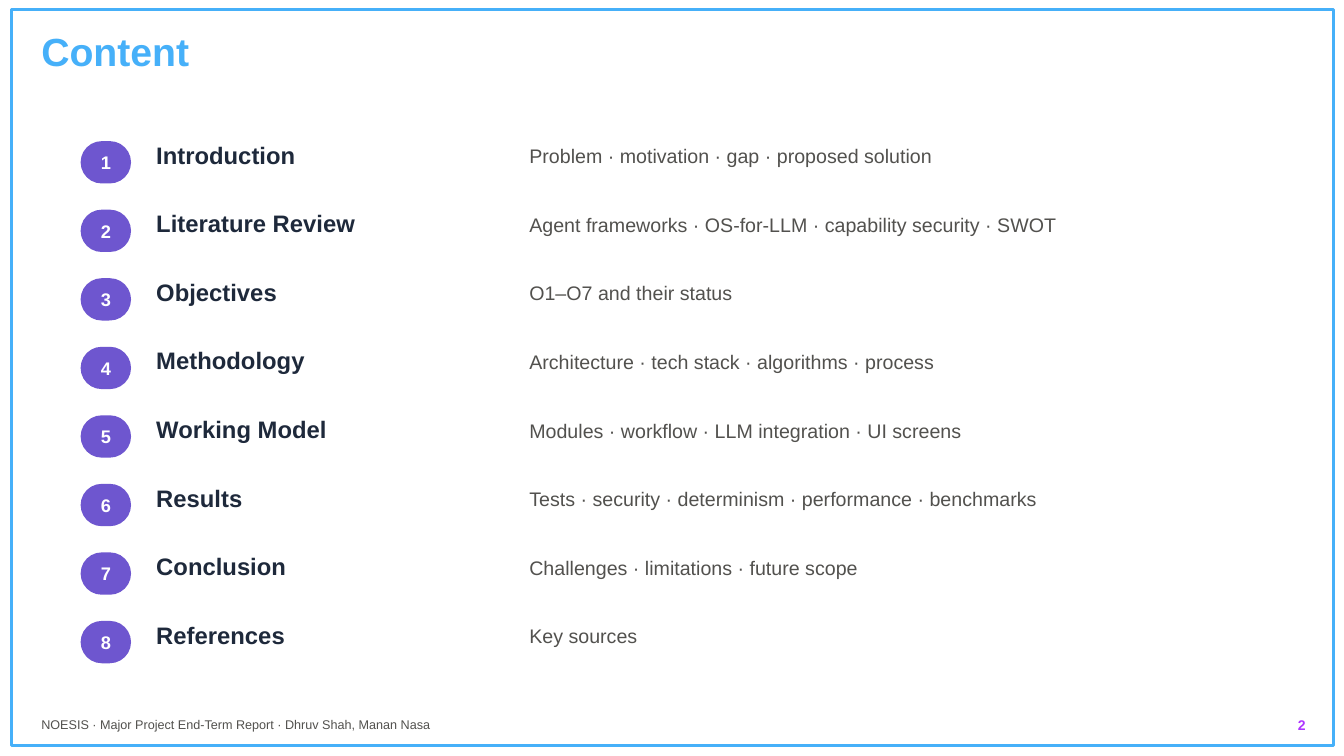
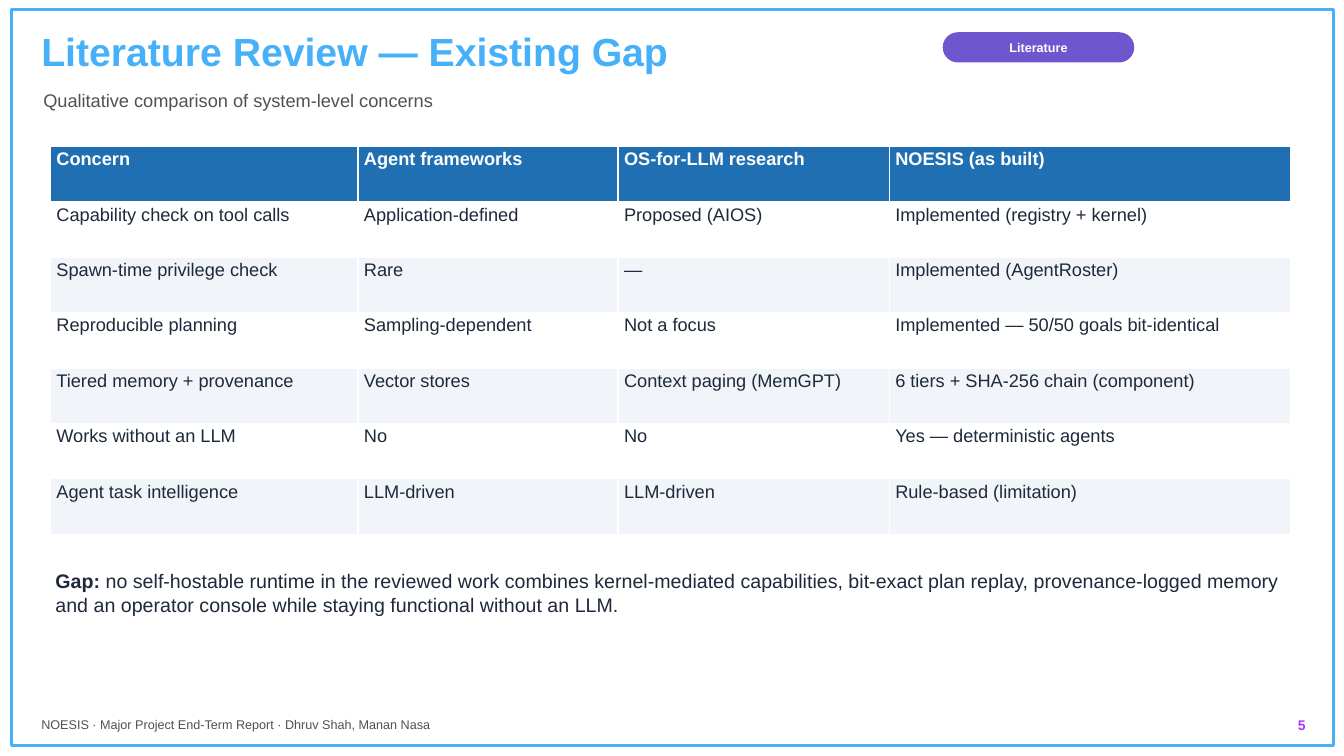
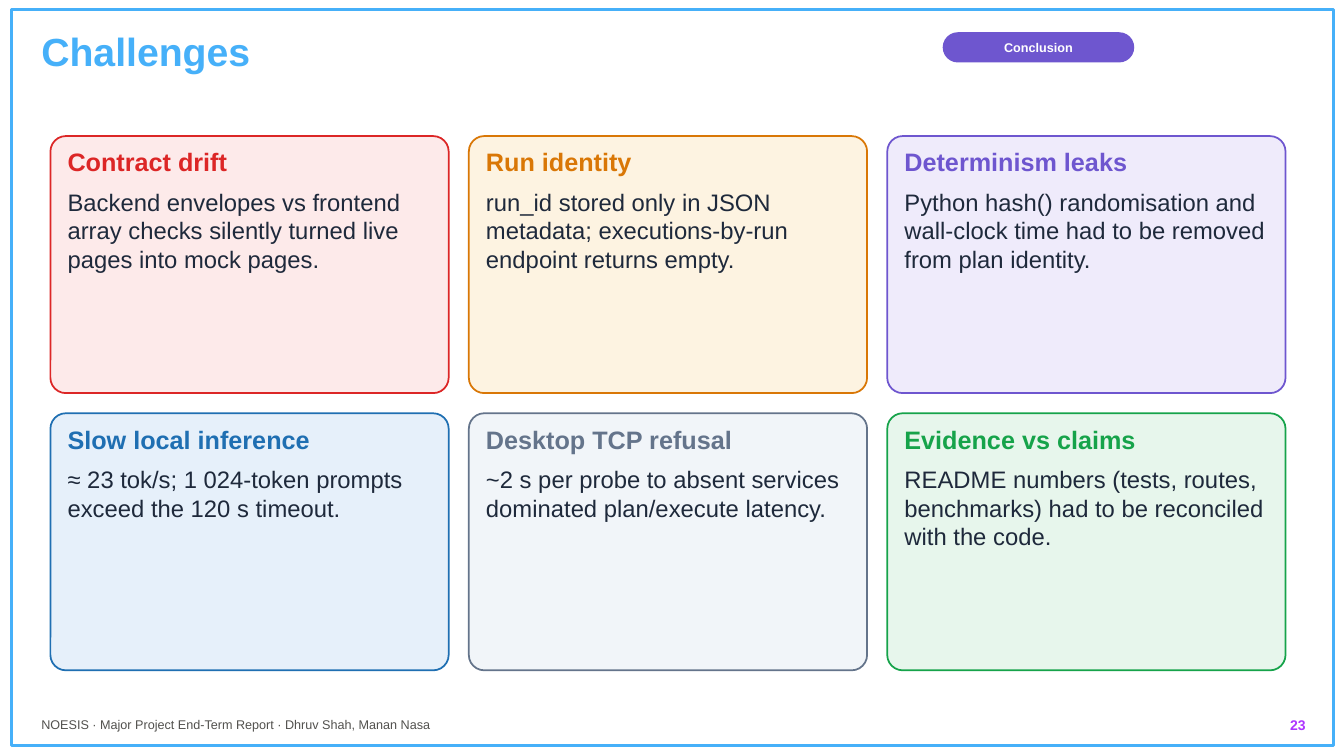
from pptx import Presentation
from pptx.dml.color import RGBColor
from pptx.enum.shapes import MSO_SHAPE as Shape
from pptx.enum.text import MSO_ANCHOR as Anchor, MSO_AUTO_SIZE as AutoSize, PP_ALIGN as Align
from pptx.util import Inches, Pt

# Shared look
FONT = "Arial"
SKY, VIOLET, PURPLE, BLUE = "46B0F9", "6E56CF", "AE36FF", "1F6FB2"
INK, GREY, WHITE, MIST = "1E293B", "52514E", "FFFFFF", "F1F5F9"
FOOTER = "NOESIS · Major Project End-Term Report · Dhruv Shah, Manan Nasa"

# Content
TOPICS = [
    ("Introduction", "Problem · motivation · gap · proposed solution"),
    ("Literature Review", "Agent frameworks · OS-for-LLM · capability security · SWOT"),
    ("Objectives", "O1–O7 and their status"),
    ("Methodology", "Architecture · tech stack · algorithms · process"),
    ("Working Model", "Modules · workflow · LLM integration · UI screens"),
    ("Results", "Tests · security · determinism · performance · benchmarks"),
    ("Conclusion", "Challenges · limitations · future scope"),
    ("References", "Key sources"),
]
COMPARISON = [
    ("Concern", "Agent frameworks", "OS-for-LLM research", "NOESIS (as built)"),
    ("Capability check on tool calls", "Application-defined", "Proposed (AIOS)",
     "Implemented (registry + kernel)"),
    ("Spawn-time privilege check", "Rare", "—", "Implemented (AgentRoster)"),
    ("Reproducible planning", "Sampling-dependent", "Not a focus",
     "Implemented — 50/50 goals bit-identical"),
    ("Tiered memory + provenance", "Vector stores", "Context paging (MemGPT)",
     "6 tiers + SHA-256 chain (component)"),
    ("Works without an LLM", "No", "No", "Yes — deterministic agents"),
    ("Agent task intelligence", "LLM-driven", "LLM-driven", "Rule-based (limitation)"),
]
GAP = (" no self-hostable runtime in the reviewed work combines kernel-mediated capabilities, "
       "bit-exact plan replay, provenance-logged memory and an operator console while staying "
       "functional without an LLM.")
CHALLENGES = [
    ("Contract drift", "DC2626", "FDEAEA",
     "Backend envelopes vs frontend array checks silently turned live pages into mock pages."),
    ("Run identity", "D97706", "FDF3E1",
     "run_id stored only in JSON metadata; executions-by-run endpoint returns empty."),
    ("Determinism leaks", VIOLET, "EFEBFB",
     "Python hash() randomisation and wall-clock time had to be removed from plan identity."),
    ("Slow local inference", BLUE, "E6F0FA",
     "≈ 23 tok/s; 1 024-token prompts exceed the 120 s timeout."),
    ("Desktop TCP refusal", "64748B", MIST,
     "~2 s per probe to absent services dominated plan/execute latency."),
    ("Evidence vs claims", "16A34A", "E7F6EC",
     "README numbers (tests, routes, benchmarks) had to be reconciled with the code."),
]


def rgb(colour):
    return RGBColor.from_string(colour)


# Text
def style(span, size, colour, bold):
    span.font.name, span.font.size, span.font.bold = FONT, Pt(size), bold
    span.font.color.rgb = rgb(colour)


def write(frame, text, size, colour, bold=False, align=Align.LEFT, spacing=1.05):
    frame.text = text
    para = frame.paragraphs[0]
    para.alignment, para.line_spacing = align, spacing
    style(para.runs[0], size, colour, bold)
    return para


def set_insets(frame, side, edge):
    frame.margin_left = frame.margin_right = Inches(side)
    frame.margin_top = frame.margin_bottom = Inches(edge)


def prepare_frame(frame):
    frame.word_wrap = True
    frame.auto_size = AutoSize.SHAPE_TO_FIT_TEXT
    frame.vertical_anchor = Anchor.TOP
    set_insets(frame, 0.05, 0.03)


def add_text(slide, at, text, size, colour, **options):
    box = slide.shapes.add_textbox(*map(Inches, at))
    prepare_frame(box.text_frame)
    return write(box.text_frame, text, size, colour, **options)


# Shapes
def add_box(slide, kind, at, fill=None, line=None, width=1.25, radius=None):
    box = slide.shapes.add_shape(kind, *map(Inches, at))
    box.shadow.inherit = False
    if radius is not None:
        box.adjustments[0] = radius
    if fill:
        box.fill.solid()
        box.fill.fore_color.rgb = rgb(fill)
    else:
        box.fill.background()
    if line:
        box.line.color.rgb = rgb(line)
        box.line.width = Pt(width)
    else:
        box.line.fill.background()
    return box


def add_pill(slide, at, text, size):
    frame = add_box(slide, Shape.ROUNDED_RECTANGLE, at, fill=VIOLET, radius=0.5).text_frame
    set_insets(frame, 0.03, 0)
    frame.vertical_anchor = Anchor.MIDDLE
    write(frame, text, size, WHITE, bold=True, align=Align.CENTER, spacing=1.0)


def add_card(slide, left, top, heading, colour, fill, body):
    add_box(slide, Shape.ROUNDED_RECTANGLE, (left, top, 3.95, 2.55), fill, colour, radius=0.06)
    add_text(slide, (left + 0.12, top + 0.06, 3.71, 0.42), heading, 18, colour, bold=True)
    add_text(slide, (left + 0.12, top + 0.48, 3.71, 2), body, 17, INK, spacing=1.0)


def add_comparison(slide, at, rows, widths):
    table = slide.shapes.add_table(len(rows), len(widths), *map(Inches, at)).table
    for column, width in zip(table.columns, widths):
        column.width = Inches(width)
    for r, row in enumerate(rows):
        header = r == 0
        fill = BLUE if header else (MIST, WHITE)[r % 2]
        for c, text in enumerate(row):
            cell = table.cell(r, c)
            cell.fill.solid()
            cell.fill.fore_color.rgb = rgb(fill)
            set_insets(cell, 0.06, 0.03)
            write(cell.text_frame, text, 13, WHITE if header else INK, bold=header, spacing=1.0)


# Common slide parts
def add_frame_to_layout(slide):
    frame = add_box(slide, Shape.RECTANGLE, (0.11, 0.09, 13.12, 7.31), line=SKY, width=2.25)
    slide.slide_layout.shapes.element.append(frame.element)


def add_slide(deck, title, number, section=None):
    slide = deck.slides.add_slide(deck.slide_layouts[5])
    heading = slide.shapes.title
    heading.left, heading.top, heading.width, heading.height = map(
        Inches, (0.36, 0.22, 10.9, 0.65))
    prepare_frame(heading.text_frame)
    write(heading.text_frame, title, 28, SKY, bold=True)
    add_text(slide, (0.36, 7.07, 7.5, 0.3), FOOTER, 9, GREY)
    add_text(slide, (11.6, 7.07, 1.4, 0.3), str(number), 10, PURPLE, bold=True, align=Align.RIGHT)
    if section:
        add_pill(slide, (9.35, 0.32, 1.9, 0.3), section, 9)
    return slide


# Slides
def build_contents(deck):
    slide = add_slide(deck, "Content", 2)
    add_frame_to_layout(slide)
    for index, (topic, details) in enumerate(TOPICS):
        top = 1.4 + index * 0.68
        add_pill(slide, (0.8, top, 0.5, 0.42), str(index + 1), 13)
        add_text(slide, (1.5, top - 0.05, 4.5, 0.5), topic, 17, INK, bold=True)
        add_text(slide, (5.2, top - 0.01, 7.2, 0.5), details, 14, GREY)


def build_literature(deck):
    slide = add_slide(deck, "Literature Review — Existing Gap", 5, "Literature")
    add_text(slide, (0.38, 0.85, 10.9, 0.4),
             "Qualitative comparison of system-level concerns", 13, GREY)
    add_comparison(slide, (0.5, 1.45, 12.3, 3.85), COMPARISON, (3.05, 2.58, 2.69, 3.98))
    para = add_text(slide, (0.5, 5.6, 12.3, 1), "Gap:", 14, INK, bold=True)
    span = para.add_run()
    span.text = GAP
    style(span, 14, INK, False)


def build_challenges(deck):
    slide = add_slide(deck, "Challenges", 23, "Conclusion")
    for index, challenge in enumerate(CHALLENGES):
        row, column = divmod(index, 3)
        add_card(slide, 0.5 + column * 4.15, 1.35 + row * 2.75, *challenge)


def main():
    deck = Presentation()
    deck.slide_width, deck.slide_height = Inches(13.33), Inches(7.5)
    build_contents(deck)
    build_literature(deck)
    build_challenges(deck)
    deck.save("out.pptx")


if __name__ == "__main__":
    main()
